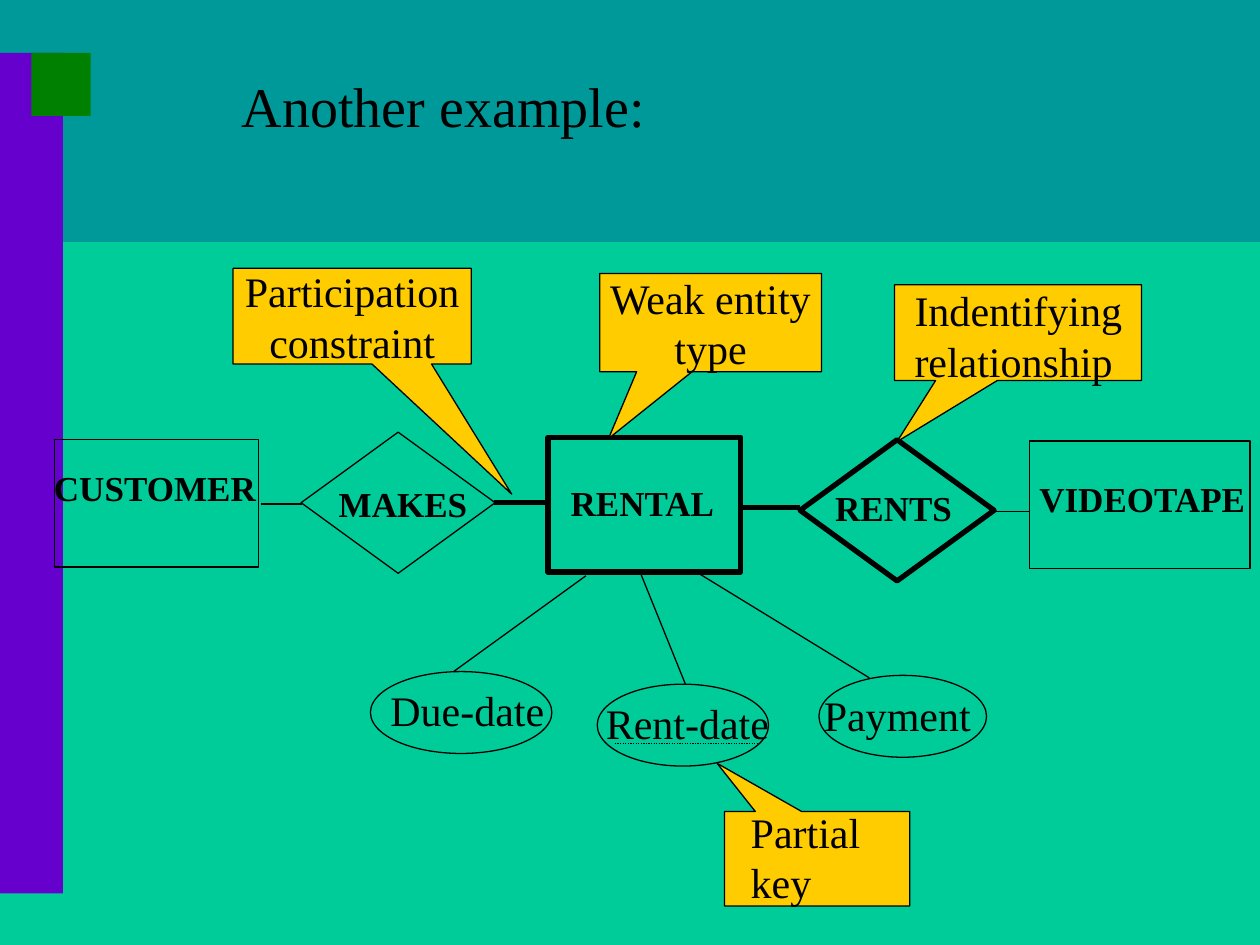
from pptx import Presentation
from pptx import util as u
from pptx.dml.color import RGBColor
from pptx.enum import dml, shapes, text
from pptx.oxml.ns import qn
from lxml import etree

BLACK = RGBColor(0x00, 0x00, 0x00)
GREEN = RGBColor(0x00, 0xCC, 0x99)
TEAL = RGBColor(0x00, 0x99, 0x99)
PURPLE = RGBColor(0x66, 0x00, 0xCC)
DARK_GREEN = RGBColor(0x00, 0x80, 0x00)
GOLD = RGBColor(0xFF, 0xCC, 0x00)
FONT = "Times New Roman"
THIN, THICK = 0.75, 3
NAME_SIZE, NOTE_SIZE, TITLE_SIZE = 20, 24, 32
KIND = shapes.MSO_SHAPE
LEFT, CENTER = text.PP_ALIGN.LEFT, text.PP_ALIGN.CENTER

# Places are left, top, width, height in tenths of the slide's width (1 inch)
TITLE = ("Another example:", (1.82, 0.52, 3.8, 0.64))
BANDS = [
    (TEAL, (0, 0, 10, 1.92)),
    (PURPLE, (0, 0.42, 0.5, 6.67)),
    (DARK_GREEN, (0.25, 0.42, 0.47, 0.5)),
]
# Kind, place, line weight, label, label place
ENTITIES = [
    (KIND.RECTANGLE, (4.35, 3.47, 1.53, 1.07), THICK, "RENTAL", (4.43, 3.77, 1.45, 0.44)),
    (KIND.RECTANGLE, (0.43, 3.49, 1.62, 1.01), THIN, "CUSTOMER", (0.33, 3.65, 1.9, 0.44)),
    (KIND.FLOWCHART_DECISION, (2.39, 3.43, 1.54, 1.12), THIN, "MAKES", (2.59, 3.78, 1.3, 0.44)),
    (KIND.FLOWCHART_DECISION, (6.35, 3.49, 1.54, 1.12), THICK, "RENTS", (6.53, 3.81, 1.2, 0.44)),
    (KIND.RECTANGLE, (8.17, 3.5, 1.75, 1.01), THIN, "VIDEOTAPE", (8.15, 3.74, 1.85, 0.44)),
]
ATTRIBUTES = [
    ((2.94, 5.33, 1.44, 0.65), "Due-date", (3, 5.38, 1.49, 0.5)),
    ((4.74, 5.43, 1.36, 0.65), "Rent-date", (4.71, 5.49, 1.6, 0.5)),
    ((6.5, 5.36, 1.33, 0.65), "Payment", (6.44, 5.42, 1.5, 0.5)),
]
# From x, y, to x, y, weight
LINKS = [
    (2.07, 4, 2.4, 4, THIN),
    (3.92, 3.99, 4.36, 3.99, THICK),
    (5.9, 4.03, 6.35, 4.03, THICK),
    (7.89, 4.06, 8.17, 4.06, THIN),
    (4.65, 4.57, 3.6, 5.33, THIN),
    (5.08, 4.54, 5.44, 5.43, THIN),
    (5.56, 4.56, 6.9, 5.38, THIN),
]
PARTIAL_KEY_LINE = (4.88, 5.9, 6.01, 5.9, THIN)
# Place, pointer, lines, separate label place (None: centred inside)
CALLOUTS = [
    ((4.76, 2.17, 1.76, 0.78), (-0.46, 1.18), ["Weak entity", "type"], None),
    ((7.1, 2.26, 1.96, 0.76), (-0.49, 1.14), ["Indentifying", "relationship"],
     (7.16, 2.21, 1.95, 0.9)),
    ((1.85, 2.13, 1.89, 0.76), (0.67, 1.86), ["Participation", "constraint"], None),
    ((5.75, 6.44, 1.47, 0.75), (-0.54, -1.01), ["Partial", "key"],
     (5.86, 6.35, 1.53, 0.9)),
]


def inches(place):
    return [u.Inches(length) for length in place]


def write(frame, lines, size, bold=False, align=LEFT, wrap=True,
          anchor=text.MSO_ANCHOR.TOP):
    frame.text = "\n".join(lines)
    frame.word_wrap = wrap
    frame.auto_size = text.MSO_AUTO_SIZE.NONE
    frame.vertical_anchor = anchor
    for paragraph in frame.paragraphs:
        paragraph.alignment = align
        font = paragraph.font
        font.name, font.size, font.bold = FONT, u.Pt(size), bold
        font.color.rgb = BLACK


def add_label(slide, place, lines, size, bold=False):
    label = slide.shapes.add_textbox(*inches(place))
    write(label.text_frame, lines, size, bold)


def add_outline(slide, kind, place, fill=None, weight=None):
    shape = slide.shapes.add_shape(kind, *inches(place))
    shape.shadow.inherit = False
    if fill is None:
        shape.fill.background()
    else:
        shape.fill.solid()
        shape.fill.fore_color.rgb = fill
    if weight is None:
        shape.line.fill.background()
    else:
        shape.line.color.rgb = BLACK
        shape.line.width = u.Pt(weight)
    return shape


def add_link(slide, x1, y1, x2, y2, weight):
    link = slide.shapes.add_connector(shapes.MSO_CONNECTOR.STRAIGHT,
                                      *inches((x1, y1, x2, y2)))
    link.line.color.rgb = BLACK
    link.line.width = u.Pt(weight)
    etree.SubElement(link._element.spPr, qn("a:effectLst"))
    return link


def add_callout(slide, place, pointer, lines, label_place):
    callout = add_outline(slide, KIND.RECTANGULAR_CALLOUT, place, GOLD, THIN)
    callout.adjustments[0], callout.adjustments[1] = pointer
    if label_place:
        add_label(slide, label_place, lines, NOTE_SIZE)
    else:
        write(callout.text_frame, lines, NOTE_SIZE, align=CENTER, wrap=False,
              anchor=text.MSO_ANCHOR.MIDDLE)


def main():
    deck = Presentation()
    deck.slide_width, deck.slide_height = u.Inches(10), u.Inches(7.5)
    slide = deck.slides.add_slide(deck.slide_layouts[5])
    slide.background.fill.solid()
    slide.background.fill.fore_color.rgb = GREEN

    # Background bands
    for color, place in BANDS:
        add_outline(slide, KIND.RECTANGLE, place, color)

    # Title, brought in front of the bands
    heading, place = TITLE
    title = slide.shapes.title
    title.left, title.top, title.width, title.height = inches(place)
    write(title.text_frame, [heading], TITLE_SIZE)
    slide.shapes._spTree.append(title._element)

    # Entities and relationships
    for kind, place, weight, name, label_place in ENTITIES:
        add_outline(slide, kind, place, weight=weight)
        add_label(slide, label_place, [name], NAME_SIZE, bold=True)

    # Attributes
    for place, name, label_place in ATTRIBUTES:
        add_outline(slide, KIND.OVAL, place, weight=THIN)
        add_label(slide, label_place, [name], NOTE_SIZE)

    # Links, and the dotted underline of the partial key
    for link in LINKS:
        add_link(slide, *link)
    underline = add_link(slide, *PARTIAL_KEY_LINE)
    underline.line.dash_style = dml.MSO_LINE.ROUND_DOT

    # Callouts
    for callout in CALLOUTS:
        add_callout(slide, *callout)

    deck.save("out.pptx")


if __name__ == "__main__":
    main()
